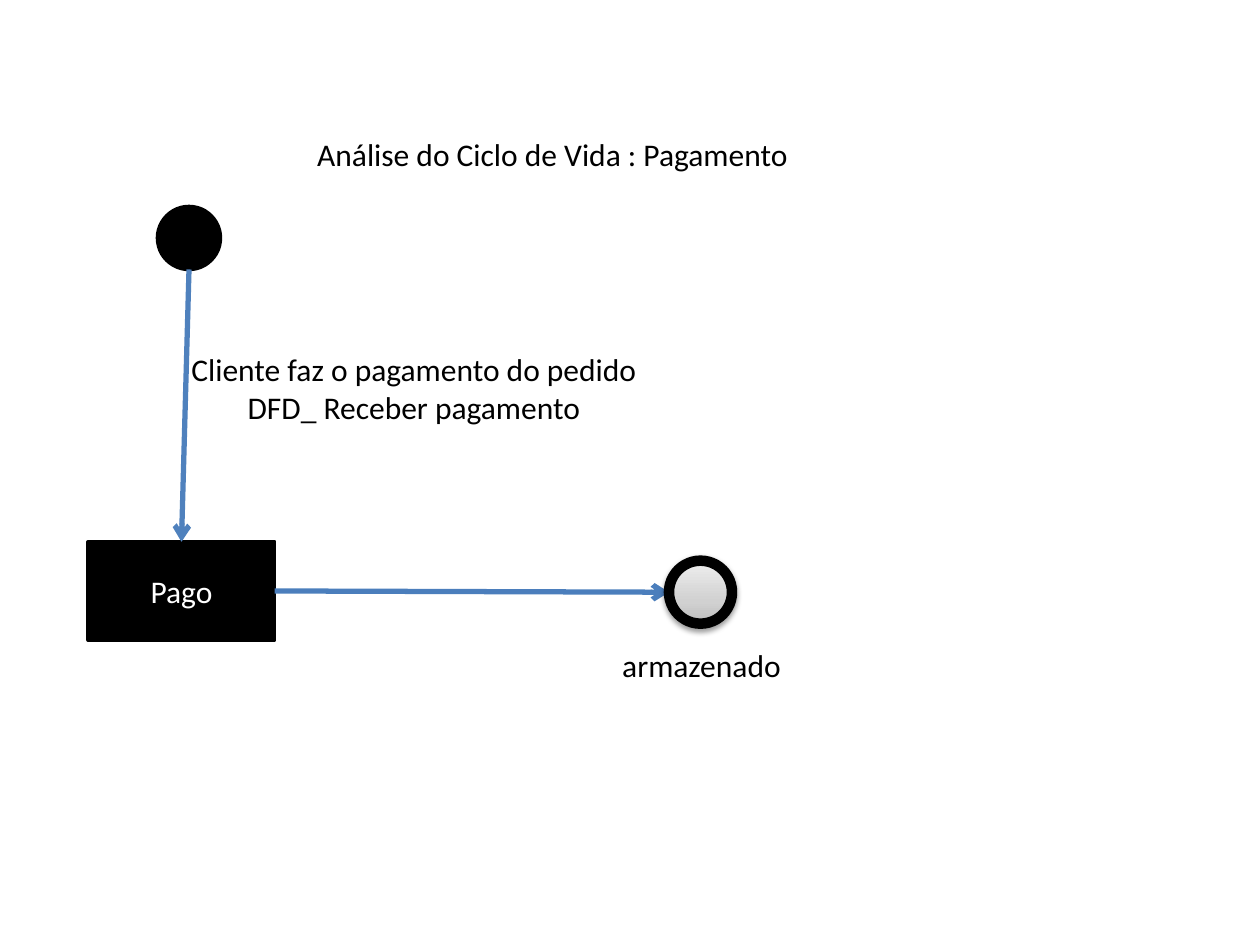
import pptx
import pptx.util
import pptx.dml.color
import pptx.enum.shapes
import pptx.enum.text
import pptx.oxml
import pptx.oxml.ns

Pt = pptx.util.Pt
SHAPE = pptx.enum.shapes.MSO_SHAPE
ALIGN = pptx.enum.text.PP_ALIGN
ANCHOR = pptx.enum.text.MSO_ANCHOR
DRAWING = pptx.oxml.ns.nsdecls("a")


def color(value):
    return pptx.dml.color.RGBColor.from_string(value)


def write(frame, lines, size=18, font="Calibri", fill="000000",
          align=ALIGN.LEFT, anchor=ANCHOR.TOP, wrap=True):
    frame.word_wrap = wrap
    frame.vertical_anchor = anchor
    for index, line in enumerate(lines):
        paragraph = frame.paragraphs[0] if index == 0 else frame.add_paragraph()
        paragraph.alignment = align
        run = paragraph.add_run()
        run.text = line
        run.font.size = Pt(size)
        run.font.name = font
        run.font.color.rgb = color(fill)


def label(slide, box, lines, **style):
    caption = slide.shapes.add_textbox(*map(Pt, box))
    write(caption.text_frame, lines, **style)
    caption.text_frame.auto_size = pptx.enum.text.MSO_AUTO_SIZE.SHAPE_TO_FIT_TEXT


def node(slide, kind, box, border=2):
    state = slide.shapes.add_shape(kind, *map(Pt, box))
    state.shadow.inherit = False
    state.fill.solid()
    state.fill.fore_color.rgb = color("000000")
    state.line.color.rgb = color("000000")
    state.line.width = Pt(border)
    return state


def transition(slide, start, end, stroke):
    arrow = slide.shapes.add_connector(
        pptx.enum.shapes.MSO_CONNECTOR.STRAIGHT, *map(Pt, start + end))
    arrow.line.color.rgb = color(stroke)
    arrow.line.width = Pt(3)
    arrow.line._get_or_add_ln().append(
        pptx.oxml.parse_xml(f'<a:tailEnd {DRAWING} type="arrow"/>'))
    arrow._element.spPr.append(pptx.oxml.parse_xml(f"<a:effectLst {DRAWING}/>"))


def final_state(slide, box):
    ring = node(slide, SHAPE.FLOWCHART_CONNECTOR, box, border=6)
    properties = ring._element.spPr
    stops = "".join(
        f'<a:gs pos="{position * 1000}"><a:srgbClr val="{shade}"/></a:gs>'
        for position, shade in ((0, "BDBDBD"), (35, "D1D1D1"), (100, "EEEEEE")))
    properties.replace(
        properties.find(pptx.oxml.ns.qn("a:solidFill")),
        pptx.oxml.parse_xml(
            f'<a:gradFill {DRAWING} rotWithShape="1"><a:gsLst>{stops}</a:gsLst>'
            '<a:lin ang="16200000" scaled="1"/></a:gradFill>'))
    properties.replace(
        properties.find(pptx.oxml.ns.qn("a:effectLst")),
        pptx.oxml.parse_xml(
            f'<a:effectLst {DRAWING}><a:outerShdw blurRad="{Pt(3.1)}" '
            f'dist="{Pt(1.6)}" dir="5400000" rotWithShape="0">'
            '<a:srgbClr val="000000"><a:alpha val="38000"/></a:srgbClr>'
            '</a:outerShdw></a:effectLst>'))


def life_cycle(slide, box):
    left, top, width, height = box
    dot = 36
    paid_width, paid_height = 106.6, 56.2
    paid_top = top + height - paid_height
    paid_middle = paid_top + paid_height / 2
    start_left = left + 39.6
    final_left = left + width - dot
    final_top = paid_middle + 0.7 - dot / 2

    node(slide, SHAPE.FLOWCHART_CONNECTOR, (start_left, top, dot, dot))
    label(slide, (left + 51.1, top + 78.5, 270, 51),
          ["Cliente faz o pagamento do pedido", "DFD_ Receber pagamento"],
          align=ALIGN.CENTER)
    paid = node(slide, SHAPE.RECTANGLE, (left, paid_top, paid_width, paid_height))
    write(paid.text_frame, ["Pago"], fill="FFFFFF",
          align=ALIGN.CENTER, anchor=ANCHOR.MIDDLE)
    transition(slide, (start_left + dot / 2, top + dot),
               (left + paid_width / 2, paid_top), "4F81BD")
    transition(slide, (left + paid_width, paid_middle),
               (final_left, final_top + dot / 2), "4B7EBC")
    final_state(slide, (final_left, final_top, dot, dot))
    label(slide, (final_left - 33.8, final_top + 45.4, 105.8, 29),
          ["armazenado"], wrap=False)


deck = pptx.Presentation()
deck.slide_width, deck.slide_height = Pt(720), Pt(540)
page = deck.slides.add_slide(deck.slide_layouts[6])
life_cycle(page, (50.4, 118, 367.9, 247.8))
label(page, (174.2, 73.4, 371.5, 29), ["Análise do Ciclo de Vida : Pagamento"])
deck.save("out.pptx")
